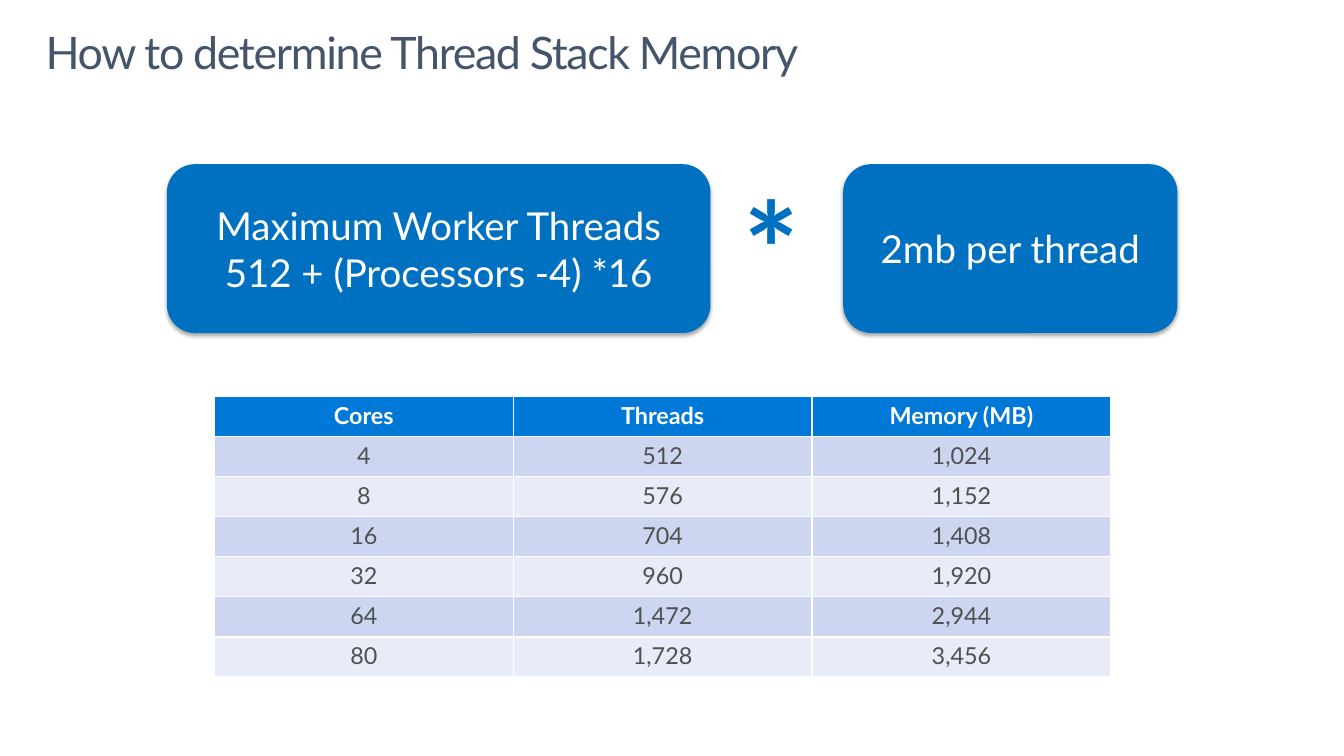
from lxml import etree
from pptx import Presentation
from pptx.dml.color import RGBColor
from pptx.enum.shapes import MSO_SHAPE as Shape
from pptx.enum.text import MSO_ANCHOR as Anchor, MSO_AUTO_SIZE as AutoSize, PP_ALIGN as Align
from pptx.oxml import parse_xml
from pptx.oxml.ns import nsdecls
from pptx.util import Cm, Pt

TITLE = "How to determine Thread Stack Memory"
FACTORS = [
    (4.29, 13.97, ["Maximum Worker Threads", "512 + (Processors -4) *16"]),
    (21.67, 8.59, ["2mb per thread"]),
]
HEADER = ("Cores", "Threads", "Memory (MB)")
ROWS = [
    ("4", "512", "1,024"),
    ("8", "576", "1,152"),
    ("16", "704", "1,408"),
    ("32", "960", "1,920"),
    ("64", "1,472", "2,944"),
    ("80", "1,728", "3,456"),
]

FONT = "Lato"
SLATE = RGBColor(0x44, 0x54, 0x6A)
BLUE = RGBColor(0x00, 0x70, 0xC0)
HEAD_BLUE = RGBColor(0x00, 0x78, 0xD7)
BANDS = (RGBColor(0xCC, 0xD6, 0xF0), RGBColor(0xE7, 0xEC, 0xF8))
GRAY = RGBColor(0x50, 0x50, 0x50)
WHITE = RGBColor(0xFF, 0xFF, 0xFF)

BOX_TOP, BOX_H = 4.22, 4.34
COL_W, ROW_H = 7.68, 1.03

SHADOW = (
    f'<a:outerShdw {nsdecls("a")} blurRad="39400" dist="23000" dir="5400000" rotWithShape="0">'
    '<a:srgbClr val="000000"><a:alpha val="35000"/></a:srgbClr></a:outerShdw>'
)


def write(tf, lines, size, color, bold=False, align=Align.CENTER, spacing=None, tracking=None):
    """Fill a text frame with one formatted paragraph per line."""
    for i, line in enumerate(lines):
        p = tf.add_paragraph() if i else tf.paragraphs[0]
        p.alignment = align
        if spacing:
            p.line_spacing = spacing
        r = p.add_run()
        r.text = line
        font = r.font
        font.name, font.size, font.bold = FONT, Pt(size), bold
        font.color.rgb = color
        if tracking:
            font._element.set("spc", str(tracking))


def add_title(s):
    """Place the slide title at the top left."""
    sp = s.shapes.title
    sp.left, sp.top, sp.width, sp.height = Cm(0.76), Cm(0.53), Cm(33.02), Cm(2.54)
    tf = sp.text_frame
    tf.auto_size = AutoSize.NONE
    tf.vertical_anchor = Anchor.TOP
    tf.margin_left = tf.margin_right = Cm(0.41)
    tf.margin_top = tf.margin_bottom = Cm(0.25)
    write(tf, [TITLE], 32.6, SLATE, align=Align.LEFT, spacing=0.9, tracking=-100)


def add_factor(s, left, width, lines):
    """Draw one rounded box of the formula."""
    sp = s.shapes.add_shape(Shape.ROUNDED_RECTANGLE, Cm(left), Cm(BOX_TOP), Cm(width), Cm(BOX_H))
    sp.fill.solid()
    sp.fill.fore_color.rgb = BLUE
    sp.line.fill.background()
    sp.shadow.inherit = False
    sp._element.spPr.find("{*}effectLst").append(parse_xml(SHADOW))
    sp.text_frame.vertical_anchor = Anchor.MIDDLE
    write(sp.text_frame, lines, 28, WHITE)


def add_times_sign(s):
    """Put the asterisk between the two boxes."""
    tf = s.shapes.add_textbox(Cm(18.59), Cm(4.19), Cm(2.46), Cm(4.45)).text_frame
    tf.word_wrap = True
    write(tf, ["*"], 96, BLUE, bold=True)


def add_memory_table(s):
    """Add the table of cores, threads and memory."""
    rows = [HEADER] + ROWS
    n, m = len(rows), len(HEADER)
    table = s.shapes.add_table(n, m, Cm(5.51), Cm(10.19), Cm(COL_W * m), Cm(ROW_H * n)).table
    for col in table.columns:
        col.width = Cm(COL_W)
    for i, values in enumerate(rows):
        table.rows[i].height = Cm(ROW_H)
        for j, value in enumerate(values):
            cell = table.cell(i, j)
            cell.fill.solid()
            cell.fill.fore_color.rgb = BANDS[(i - 1) % 2] if i else HEAD_BLUE
            write(cell.text_frame, [value], 17, GRAY if i else WHITE, bold=i == 0)


def main():
    """Build the slide and save it."""
    prs = Presentation()
    prs.slide_width, prs.slide_height = Cm(34.54), Cm(19.43)
    s = prs.slides.add_slide(prs.slide_layouts[5])
    add_title(s)
    for left, width, lines in FACTORS:
        add_factor(s, left, width, lines)
    add_times_sign(s)
    add_memory_table(s)
    prs.save("out.pptx")


if __name__ == "__main__":
    main()
